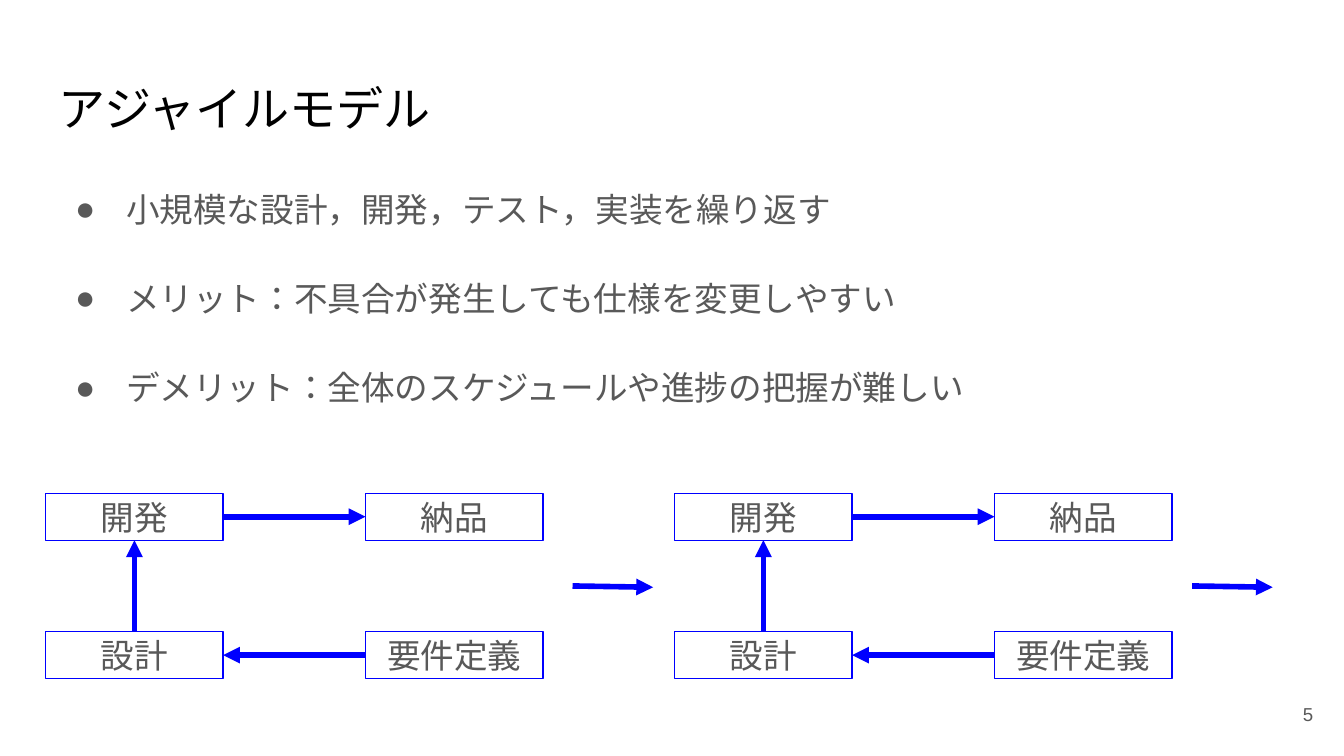
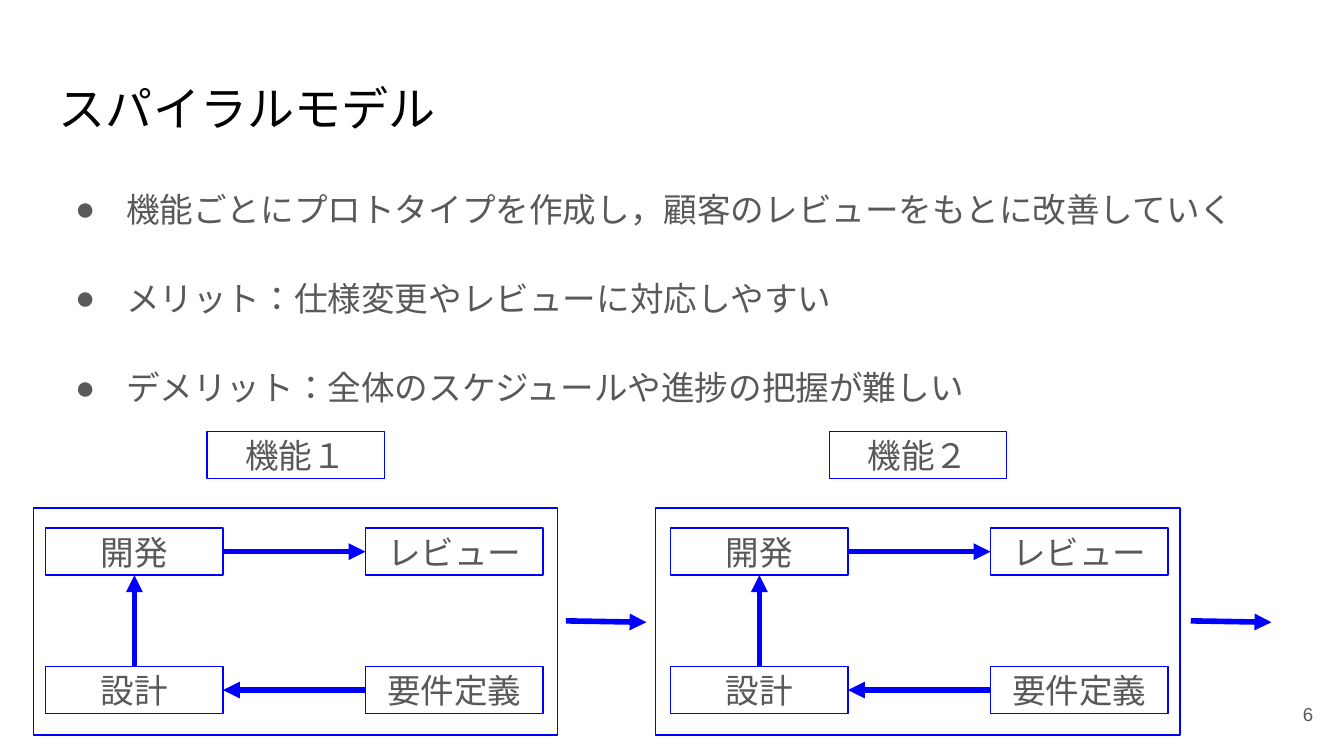
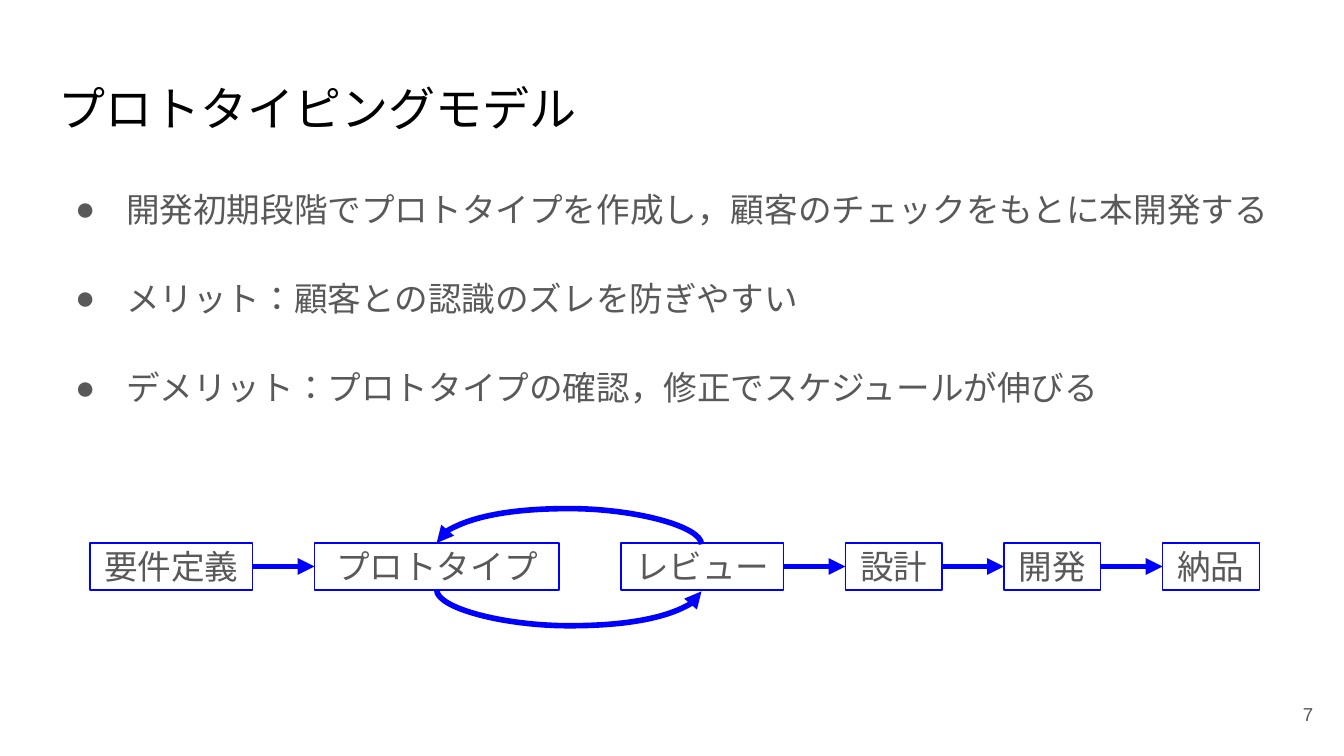
"""Build three slides that compare the agile, spiral and prototyping models."""
from lxml.etree import SubElement
from pptx import Presentation
from pptx.dml.color import RGBColor
from pptx.enum.lang import MSO_LANGUAGE_ID as LANGUAGE
from pptx.enum.shapes import MSO_CONNECTOR as LINK, MSO_SHAPE as SHAPE
from pptx.enum.text import MSO_ANCHOR as ANCHOR, PP_ALIGN as ALIGN
from pptx.oxml.ns import qn
from pptx.util import Inches, Pt

BLACK = RGBColor(0x00, 0x00, 0x00)
GRAY = RGBColor(0x59, 0x59, 0x59)
BLUE = RGBColor(0x00, 0x00, 0xFF)
FONT = "Arial"
STEP_W, STEP_H = 1.32, 0.35
COLUMN_STEP, ROW_STEP = 2.38, 1.03
TOP, LEFT, BOTTOM, RIGHT = range(4)


def place(slide, text, left, top, width, height, *, size=18, color=GRAY, align=ALIGN.LEFT,
          anchor=ANCHOR.TOP, spacing=1.0, gap=0, bullet=None, outlined=False):
    area = [Inches(length) for length in (left, top, width, height)]
    if outlined:
        item = slide.shapes.add_shape(SHAPE.RECTANGLE, *area)
        item.shadow.inherit = False
        item.fill.background()
        item.line.color.rgb = BLUE
        item.line.width = Pt(0.75)
        align, anchor = ALIGN.CENTER, ANCHOR.MIDDLE
    else:
        item = slide.shapes.add_textbox(*area)
    frame = item.text_frame
    frame.word_wrap = True
    frame.vertical_anchor = anchor
    frame.margin_left = frame.margin_right = Inches(0.1)
    frame.margin_top = frame.margin_bottom = Inches(0.1)
    frame.text = text
    for index, paragraph in enumerate(frame.paragraphs):
        paragraph.alignment = align
        paragraph.line_spacing = spacing
        paragraph.space_before = Pt(gap if index else 0)
        for run in paragraph.runs:
            run.font.name = FONT
            run.font.size = Pt(size)
            run.font.color.rgb = color
            run.font.language_id = LANGUAGE.JAPANESE
        if bullet:
            props = paragraph._p.get_or_add_pPr()
            props.set("marL", str(Inches(0.5)))
            props.set("indent", str(Inches(-0.38)))
            tint = SubElement(props, qn("a:buClr"))
            SubElement(tint, qn("a:srgbClr"), val=str(color))
            SubElement(props, qn("a:buFont"), typeface=FONT)
            SubElement(props, qn("a:buChar"), char=bullet)
    return item


def draw_arrow(slide, start=None, end=None, points=(0, 0, 0, 0), kind=LINK.STRAIGHT):
    arrow = slide.shapes.add_connector(kind, *[Inches(point) for point in points])
    if start:
        arrow.begin_connect(*start)
        arrow.end_connect(*end)
    arrow.line.color.rgb = BLUE
    arrow.line.width = Pt(3)
    SubElement(arrow.line._get_or_add_ln(), qn("a:tailEnd"), type="triangle")
    SubElement(arrow._element.spPr, qn("a:effectLst"))
    return arrow


deck = Presentation()
deck.slide_width, deck.slide_height = Inches(10), Inches(10 * 9 / 16)

models = [
    ("アジャイルモデル", [
        "小規模な設計，開発，テスト，実装を繰り返す",
        "メリット：不具合が発生しても仕様を変更しやすい",
        "デメリット：全体のスケジュールや進捗の把握が難しい"]),
    ("スパイラルモデル", [
        "機能ごとにプロトタイプを作成し，顧客のレビューをもとに改善していく",
        "メリット：仕様変更やレビューに対応しやすい",
        "デメリット：全体のスケジュールや進捗の把握が難しい"]),
    ("プロトタイピングモデル", [
        "開発初期段階でプロトタイプを作成し，顧客のチェックをもとに本開発する",
        "メリット：顧客との認識のズレを防ぎやすい",
        "デメリット：プロトタイプの確認，修正でスケジュールが伸びる"]),
]
slides = []
for number, (title, points) in enumerate(models, start=5):
    slide = deck.slides.add_slide(deck.slide_layouts[6])
    place(slide, title, 0.34, 0.49, 9.32, 0.63, size=25.2, color=BLACK)
    place(slide, "\n".join(points), 0.34, 1.26, 9.32, 3.74, spacing=1.15, gap=23, bullet="●")
    place(slide, str(number), 9.27, 5.1, 0.6, 0.43, size=10, align=ALIGN.RIGHT,
          anchor=ANCHOR.MIDDLE)
    slides.append(slide)
agile, spiral, prototyping = slides

cycles = [
    (agile, "納品", 0.34, 3.67, 4.26),
    (agile, "納品", 5.02, 3.67, 8.87),
    (spiral, "レビュー", 0.34, 3.93, 4.21),
    (spiral, "レビュー", 4.99, 3.93, 8.86),
]
for slide, last_step, left, top, next_left in cycles:
    right, lower = left + COLUMN_STEP, top + ROW_STEP
    develop, finish, design, require = [
        place(slide, step, x, y, STEP_W, STEP_H, outlined=True)
        for step, x, y in [("開発", left, top), (last_step, right, top),
                           ("設計", left, lower), ("要件定義", right, lower)]]
    draw_arrow(slide, (require, LEFT), (design, RIGHT))
    draw_arrow(slide, (design, TOP), (develop, BOTTOM))
    draw_arrow(slide, (develop, RIGHT), (finish, LEFT))
    draw_arrow(slide, points=(next_left, top + 0.69, next_left + 0.6, top + 0.7))

for feature, left in [("機能１", 0.25), ("機能２", 4.88)]:
    place(spiral, "", left, 3.78, 3.9, 1.69, outlined=True)
    place(spiral, feature, left + 1.29, 3.21, STEP_W, STEP_H, outlined=True)

flow = [("要件定義", 1.21), ("プロトタイプ", 1.82), ("レビュー", 1.21),
        ("設計", 0.72), ("開発", 0.72), ("納品", 0.72)]
left, stages = 0.67, []
for stage, width in flow:
    stages.append(place(prototyping, stage, left, 4.04, width, STEP_H, outlined=True))
    left += width + 0.46
trial, review = stages[1:3]
for before, after in zip(stages, stages[1:]):
    if before is not trial:
        draw_arrow(prototyping, (before, RIGHT), (after, LEFT))

for start, end, side, top, turn in [(review, trial, TOP, 3.06, 90),
                                    (trial, review, BOTTOM, 3.41, 270)]:
    loop = draw_arrow(prototyping, (start, side), (end, side), kind=LINK.CURVE)
    loop.left, loop.top = Inches(4.23), Inches(top)
    loop.width, loop.height = Inches(0.01), Inches(1.97)
    frame = loop._element.spPr.find(qn("a:xfrm"))
    frame.set("rot", str(turn * 60000))
    frame.set("flipH", "1")
    frame.set("flipV", "0")
    bends = loop._element.spPr.find(qn("a:prstGeom")).find(qn("a:avLst"))
    SubElement(bends, qn("a:gd"), name="adj1", fmla="val 2700000")

deck.save("out.pptx")
